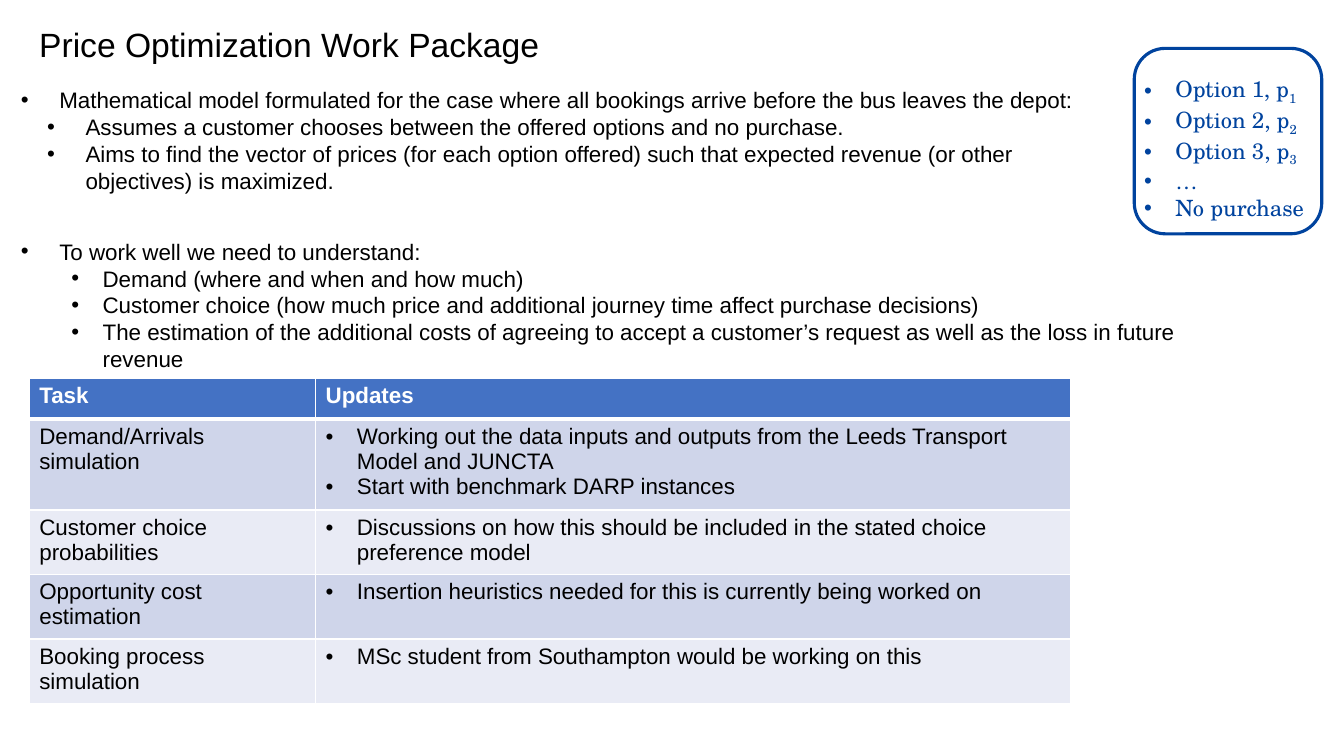
from lxml.etree import SubElement as Sub
from pptx import Presentation
from pptx.dml.color import RGBColor as Rgb
from pptx.enum.shapes import MSO_SHAPE as Kind
from pptx.enum.text import MSO_ANCHOR as Anchor
from pptx.oxml.ns import qn
from pptx.util import Inches, Pt

WHITE = Rgb(255, 255, 255)
BLACK = Rgb(0, 0, 0)
NAVY = Rgb(0x00, 0x43, 0x9E)
HEAD = Rgb(0x44, 0x72, 0xC4)
BANDS = Rgb(0xCF, 0xD5, 0xEA), Rgb(0xE9, 0xEB, 0xF5)

TITLE = "Price Optimization Work Package"
MODEL = [
    "Mathematical model formulated for the case where all bookings arrive before the bus leaves the depot:",
    "Assumes a customer chooses between the offered options and no purchase.",
    "Aims to find the vector of prices (for each option offered) such that expected revenue "
    "(or other objectives) is maximized.",
]
NEEDS = [
    "To work well we need to understand:",
    "Demand (where and when and how much)",
    "Customer choice (how much price and additional journey time affect purchase decisions)",
    "The estimation of the additional costs of agreeing to accept a customer’s request "
    "as well as the loss in future revenue",
]
OPTIONS = ["Option 1, p_1", "Option 2, p_2", "Option 3, p_3", "…", "No purchase"]
TASKS = [
    ("Task", ["Updates"]),
    ("Demand/Arrivals simulation", [
        "Working out the data inputs and outputs from the Leeds Transport Model and JUNCTA",
        "Start with benchmark DARP instances"]),
    ("Customer choice probabilities", [
        "Discussions on how this should be included in the stated choice preference model"]),
    ("Opportunity cost estimation", [
        "Insertion heuristics needed for this is currently being worked on"]),
    ("Booking process simulation", ["MSc student from Southampton would be working on this"]),
]
COLS = 2.84, 7.49
ROWS = 0.41, 0.89, 0.64, 0.64, 0.64
TOP = (0.38, 0.38)
INNER = (0.64, 0.38)
DEEP = (0.81, 0.31)
ITEM = (0.31, 0.31)


def write(frame, lines, font="Arial", size=16, color=BLACK, bold=False, dents=(), space=None):
    for i, line in enumerate(lines):
        para = frame.paragraphs[0] if i == 0 else frame.add_paragraph()
        if space:
            para.line_spacing = space
        if dents:
            left, hang = dents[min(i, len(dents) - 1)]
            props = para._p.get_or_add_pPr()
            props.set("marL", str(Inches(left)))
            props.set("indent", str(-Inches(hang)))
            Sub(props, qn("a:buFont"), typeface="Arial")
            Sub(props, qn("a:buChar"), char="•")
        for j, part in enumerate(line.split("_")):
            run = para.add_run()
            run.text = part
            run.font.name, run.font.size = font, Pt(size)
            run.font.color.rgb, run.font.bold = color, bold
            if j:
                run.font._element.set("baseline", "-25000")


def box(left, top, width, height, lines, wrap=True, anchor=Anchor.TOP, **look):
    frame = slide.shapes.add_textbox(*map(Inches, (left, top, width, height))).text_frame
    frame.word_wrap = wrap
    frame.vertical_anchor = anchor
    write(frame, lines, **look)


def edge(cell, head):
    props = cell._tc.get_or_add_tcPr()
    for i, side in enumerate(("lnL", "lnR", "lnT", "lnB")):
        width = 3 if head and side == "lnB" else 1
        line = props.makeelement(qn("a:" + side), {"w": str(Pt(width))})
        props.insert(i, line)
        Sub(Sub(line, qn("a:solidFill")), qn("a:srgbClr"), val=str(WHITE))


deck = Presentation()
deck.slide_width, deck.slide_height = Inches(13.33), Inches(7.5)
slide = deck.slides.add_slide(deck.slide_layouts[6])

box(0.29, 0.04, 8.21, 0.65, [TITLE], size=24, anchor=Anchor.BOTTOM, space=1.1)
box(0.11, 0.81, 11.15, 1.18, MODEL, dents=(TOP, INNER))

card = slide.shapes.add_shape(Kind.ROUNDED_RECTANGLE, *map(Inches, (11.25, 0.48, 1.86, 1.84)))
card.shadow.inherit = False
card.fill.solid()
card.fill.fore_color.rgb = WHITE
card.line.color.rgb, card.line.width = NAVY, Pt(2.25)
box(11.25, 0.7, 1.86, 1.45, OPTIONS, wrap=False, font="TeX Gyre Schola", color=NAVY, dents=(ITEM,))

box(0.11, 2.31, 12.49, 1.45, NEEDS, dents=(TOP, DEEP))

table = slide.shapes.add_table(
    len(ROWS), len(COLS), *map(Inches, (0.29, 3.75, sum(COLS), sum(ROWS)))).table
for col, width in zip(table.columns, COLS):
    col.width = Inches(width)
for r, (task, news) in enumerate(TASKS):
    table.rows[r].height = Inches(ROWS[r])
    for c, lines in enumerate(([task], news)):
        cell = table.cell(r, c)
        cell.fill.solid()
        cell.fill.fore_color.rgb = BANDS[(r - 1) % 2] if r else HEAD
        edge(cell, r == 0)
        write(cell.text_frame, lines, color=BLACK if r else WHITE, bold=r == 0,
              dents=(ITEM,) if r and c else ())

deck.save("out.pptx")
